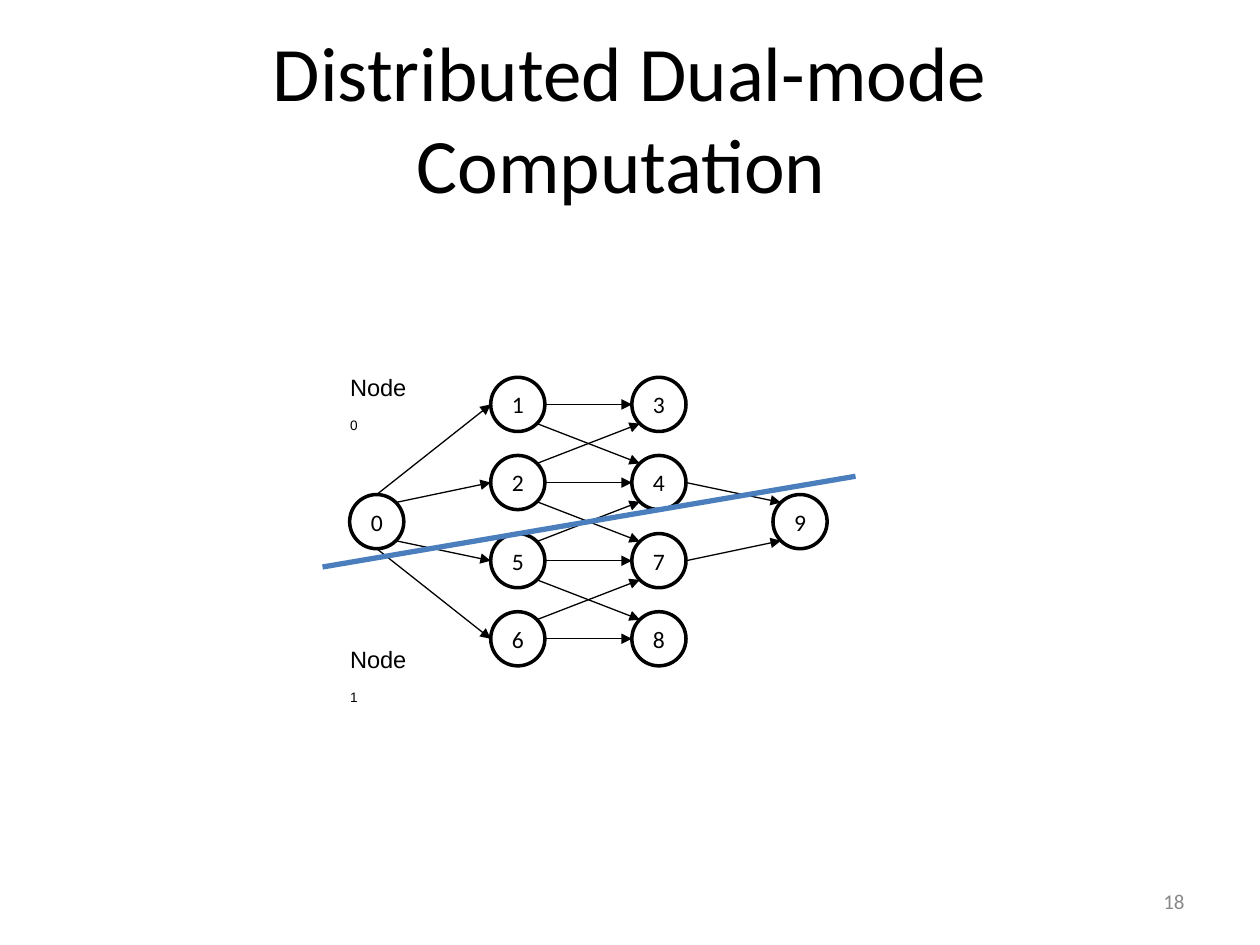
from math import cos, radians, sin

from lxml.etree import SubElement
from pptx import Presentation
from pptx.dml.color import RGBColor
from pptx.enum.shapes import MSO_CONNECTOR as Connector, MSO_SHAPE as Shape
from pptx.enum.text import MSO_ANCHOR as Anchor, PP_ALIGN as Align
from pptx.oxml.ns import qn
from pptx.util import Inches, Pt

BLACK = RGBColor(0x00, 0x00, 0x00)
GRAY = RGBColor(0x89, 0x89, 0x89)
BLUE = RGBColor(0x4B, 0x7E, 0xBC)

# Content: graph vertices as (column, row)
VERTICES = {
    "0": (0, 1.5),
    "1": (1, 0), "2": (1, 1), "5": (1, 2), "6": (1, 3),
    "3": (2, 0), "4": (2, 1), "7": (2, 2), "8": (2, 3),
    "9": (3, 1.5),
}
# Angles where an edge meets a circle, clockwise from the right
RIGHT, LOWER_RIGHT, BOTTOM, LOWER_LEFT = 0, 45, 90, 135
LEFT, UPPER_LEFT, TOP, UPPER_RIGHT = 180, 225, 270, 315
EDGES = [
    ("0", TOP, "1", LEFT), ("0", UPPER_RIGHT, "2", LEFT),
    ("0", LOWER_RIGHT, "5", LEFT), ("0", BOTTOM, "6", LEFT),
    ("1", RIGHT, "3", LEFT), ("2", RIGHT, "4", LEFT),
    ("5", RIGHT, "7", LEFT), ("6", RIGHT, "8", LEFT),
    ("4", RIGHT, "9", UPPER_LEFT), ("7", RIGHT, "9", LOWER_LEFT),
    ("1", LOWER_RIGHT, "4", UPPER_LEFT), ("5", UPPER_RIGHT, "4", LOWER_LEFT),
    ("5", LOWER_RIGHT, "8", UPPER_LEFT), ("2", UPPER_RIGHT, "3", LOWER_LEFT),
    ("2", LOWER_RIGHT, "7", UPPER_LEFT), ("6", UPPER_RIGHT, "7", LOWER_LEFT),
]
PARTITIONS = [("0", 2.91), ("1", 5.07)]  # subscript, top

# Grid of circle centres
DIAMETER = 0.43
FIRST_X, FIRST_Y = 2.99, 3.21
STEP_X, STEP_Y = 1.12, 0.62

deck = Presentation()
deck.slide_width, deck.slide_height = Inches(10), Inches(7.5)
page = deck.slides.add_slide(deck.slide_layouts[6])


def write(box, text, size=13.5, font="Calibri", color=BLACK, align=Align.CENTER,
          anchor=Anchor.MIDDLE, subscript=""):
    frame = box.text_frame
    frame.word_wrap = True
    frame.vertical_anchor = anchor
    para = frame.paragraphs[0]
    para.alignment = align
    for part in filter(None, (text, subscript)):
        span = para.add_run()
        span.text = part
        span.font.size, span.font.name = Pt(size), font
        span.font.color.rgb = color
    if subscript:
        span.font._element.set("baseline", "-25000")


def add_text(place, text, **style):
    write(page.shapes.add_textbox(*map(Inches, place)), text, **style)


def add_line(start, end, color=BLACK, width=0.75, arrow=False):
    line = page.shapes.add_connector(Connector.STRAIGHT, *map(Inches, (*start, *end)))
    line.line.color.rgb = color
    line.line.width = Pt(width)
    if arrow:
        SubElement(line.line._get_or_add_ln(), qn("a:tailEnd"), type="triangle")
    SubElement(line._element.spPr, qn("a:effectLst"))


def center(name):
    column, row = VERTICES[name]
    return FIRST_X + column * STEP_X, FIRST_Y + row * STEP_Y


def rim(name, angle):
    x, y = center(name)
    turn = radians(angle)
    return x + DIAMETER / 2 * cos(turn), y + DIAMETER / 2 * sin(turn)


# Title and page number
add_text((0.5, 0.3, 9, 1.25), "Distributed Dual-mode Computation ", size=44)
add_text((7.17, 6.95, 2.33, 0.4), "18", size=12, color=GRAY, align=Align.RIGHT)

# Vertices
for name in VERTICES:
    x, y = center(name)
    circle = page.shapes.add_shape(
        Shape.OVAL, Inches(x - DIAMETER / 2), Inches(y - DIAMETER / 2),
        Inches(DIAMETER), Inches(DIAMETER))
    circle.shadow.inherit = False
    circle.fill.background()
    circle.line.color.rgb = BLACK
    circle.line.width = Pt(2)
    frame = circle.text_frame
    frame.margin_left = frame.margin_right = 0
    frame.margin_top = frame.margin_bottom = 0
    write(circle, name)

# Edges
for source, leave, target, enter in EDGES:
    add_line(rim(source, leave), rim(target, enter), arrow=True)

# Partition line and labels
add_line((2.56, 4.5), (6.79, 3.78), color=BLUE, width=3)
for number, top in PARTITIONS:
    add_text((2.68, top, 0.68, 0.33), "Node", subscript=number, font="Arial",
             align=Align.LEFT, anchor=Anchor.TOP)

deck.save("out.pptx")
